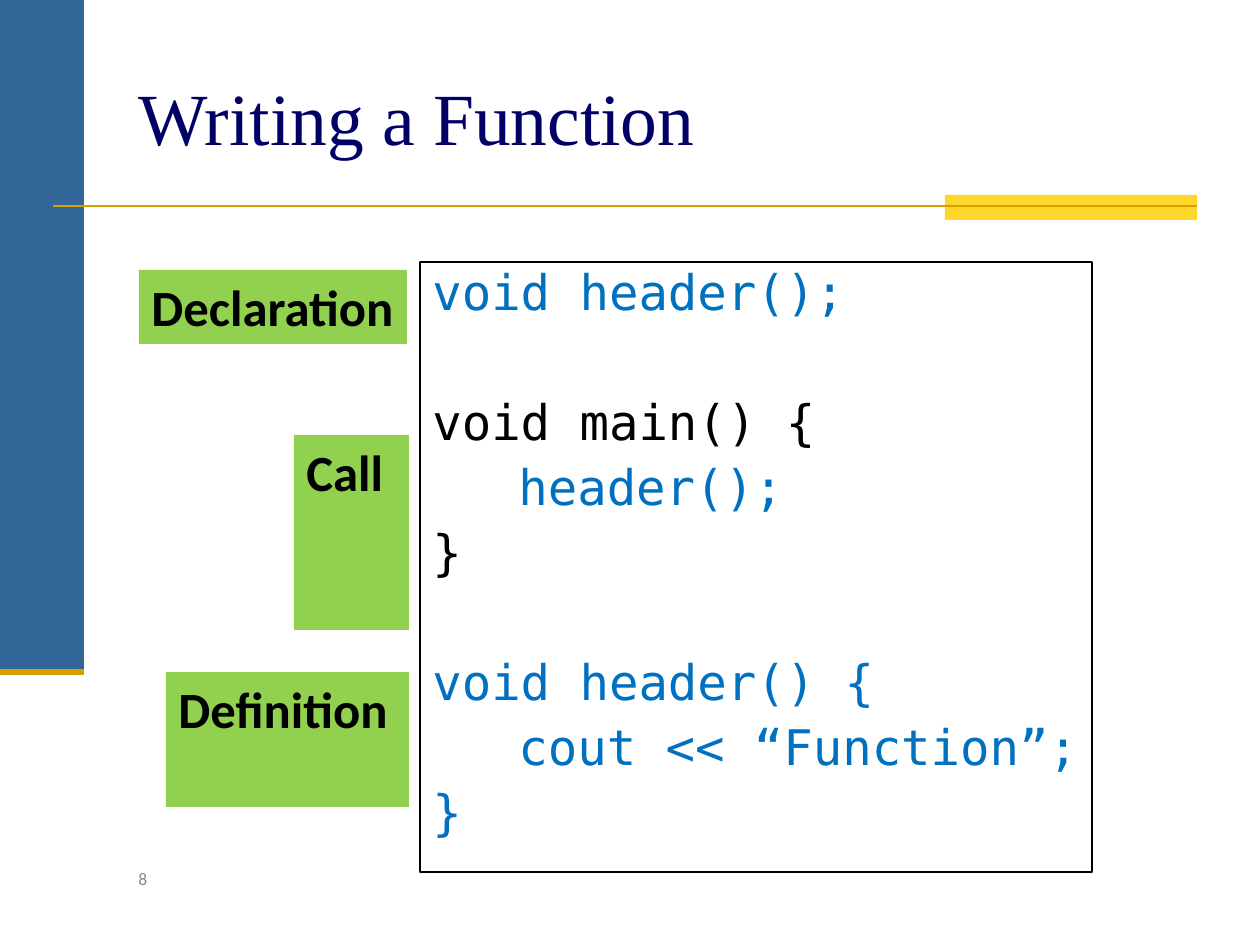
import dataclasses

import pptx
import pptx.dml.color
import pptx.enum.shapes
import pptx.enum.text
import pptx.oxml
import pptx.oxml.ns
import pptx.util

EMU_PER_PX = 914400 / 126


@dataclasses.dataclass(frozen=True)
class Theme:
    side: str = "336699"
    accent: str = "FFD72B"
    rule: str = "D89F00"
    label: str = "92D050"
    title: str = "000066"
    ink: str = "000000"
    highlight: str = "0070C0"
    muted: str = "898989"
    heading_font: str = "Times New Roman"
    body_font: str = "Calibri"
    code_font: str = "DejaVu Sans Mono"
    title_size: int = 42
    label_size: int = 29
    code_size: int = 28
    number_size: int = 10
    code_gap: float = 6.9
    code_blank: int = 44
    code_tab: int = 86


def px(length):
    return pptx.util.Emu(round(length * EMU_PER_PX))


def rgb(value):
    return pptx.dml.color.RGBColor.from_string(value)


class SlideBuilder:
    """Draw themed elements on one slide, with lengths in px."""

    def __init__(self, slide, theme):
        self.slide = slide
        self.theme = theme

    def rectangle(self, left, top, width, height, fill=None, line=None):
        shape = self.slide.shapes.add_shape(
            pptx.enum.shapes.MSO_SHAPE.RECTANGLE, px(left), px(top), px(width), px(height)
        )
        shape.shadow.inherit = False
        if fill:
            shape.fill.solid()
            shape.fill.fore_color.rgb = rgb(fill)
        else:
            shape.fill.background()
        if line:
            shape.line.color.rgb = rgb(line)
            shape.line.width = pptx.util.Pt(0.75)
        else:
            shape.line.fill.background()
        return shape

    def rule(self, left, right, y, width):
        connector = self.slide.shapes.add_connector(
            pptx.enum.shapes.MSO_CONNECTOR.STRAIGHT, px(left), px(y), px(right), px(y)
        )
        connector.line.color.rgb = rgb(self.theme.rule)
        connector.line.width = pptx.util.Pt(width)
        properties = connector.element.spPr
        properties.append(properties.makeelement(pptx.oxml.ns.qn("a:effectLst"), {}))

    def style(self, paragraph, font_name, size, color, bold=False):
        paragraph.alignment = pptx.enum.text.PP_ALIGN.LEFT
        paragraph.font.name = font_name
        paragraph.font.size = pptx.util.Pt(size)
        paragraph.font.color.rgb = rgb(color)
        paragraph.font.bold = bold

    def text(self, left, top, width, height, content, font_name, size, color, anchor):
        box = self.slide.shapes.add_textbox(px(left), px(top), px(width), px(height))
        frame = box.text_frame
        frame.word_wrap = True
        frame.vertical_anchor = anchor
        frame.text = content
        self.style(frame.paragraphs[0], font_name, size, color)

    def label(self, left, top, width, height, content):
        frame = self.rectangle(left, top, width, height, fill=self.theme.label).text_frame
        frame.word_wrap = True
        frame.margin_right = 0
        frame.vertical_anchor = pptx.enum.text.MSO_ANCHOR.TOP
        frame.text = content
        self.style(
            frame.paragraphs[0], self.theme.body_font, self.theme.label_size, self.theme.ink, bold=True
        )

    def code(self, left, top, width, height, blocks):
        theme = self.theme
        frame = self.rectangle(left, top, width, height, line=theme.ink).text_frame
        frame.word_wrap = True
        frame.vertical_anchor = pptx.enum.text.MSO_ANCHOR.TOP
        paragraph = None
        for block in blocks:
            for index, (content, color) in enumerate(block):
                if paragraph is None:
                    paragraph = frame.paragraphs[0]
                else:
                    paragraph = frame.add_paragraph()
                    gap = theme.code_gap if index else theme.code_blank
                    paragraph.space_before = pptx.util.Pt(gap)
                paragraph.line_spacing = 0.9
                self.add_tab(paragraph, theme.code_tab)
                paragraph.add_run().text = content
                self.style(paragraph, theme.code_font, theme.code_size, color)

    def add_tab(self, paragraph, position):
        properties = paragraph._p.get_or_add_pPr()
        tabs = properties.makeelement(pptx.oxml.ns.qn("a:tabLst"), {})
        tab = properties.makeelement(
            pptx.oxml.ns.qn("a:tab"), {"pos": str(int(px(position))), "algn": "l"}
        )
        tabs.append(tab)
        properties.append(tabs)


def main():
    theme = Theme()
    presentation = pptx.Presentation()
    presentation.slide_width = px(1260)
    presentation.slide_height = px(945)
    slide = presentation.slides.add_slide(presentation.slide_layouts[6])
    builder = SlideBuilder(slide, theme)
    anchors = pptx.enum.text.MSO_ANCHOR

    builder.rectangle(0, 0, 84, 672, fill=theme.side)
    builder.rectangle(945, 195, 252, 25, fill=theme.accent)
    builder.rule(53, 1197, 206, 1.5)
    builder.rule(0, 84, 672, 3.5)
    builder.text(
        126, 38, 1071, 157, "Writing a Function",
        theme.heading_font, theme.title_size, theme.title, anchors.MIDDLE,
    )
    builder.code(420, 262, 672, 610, [
        [("void header();", theme.highlight)],
        [("void main() {", theme.ink), ("\theader();", theme.highlight), ("}", theme.ink)],
        [
            ("void header() {", theme.highlight),
            ("\tcout << “Function”;", theme.highlight),
            ("}", theme.highlight),
        ],
    ])
    builder.label(139, 270, 268, 74, "Declaration")
    builder.label(294, 435, 115, 195, "Call")
    builder.label(166, 672, 243, 135, "Definition")
    builder.text(
        126, 862, 273, 63, "8", theme.body_font, theme.number_size, theme.muted, anchors.TOP
    )
    presentation.save("out.pptx")


if __name__ == "__main__":
    main()
